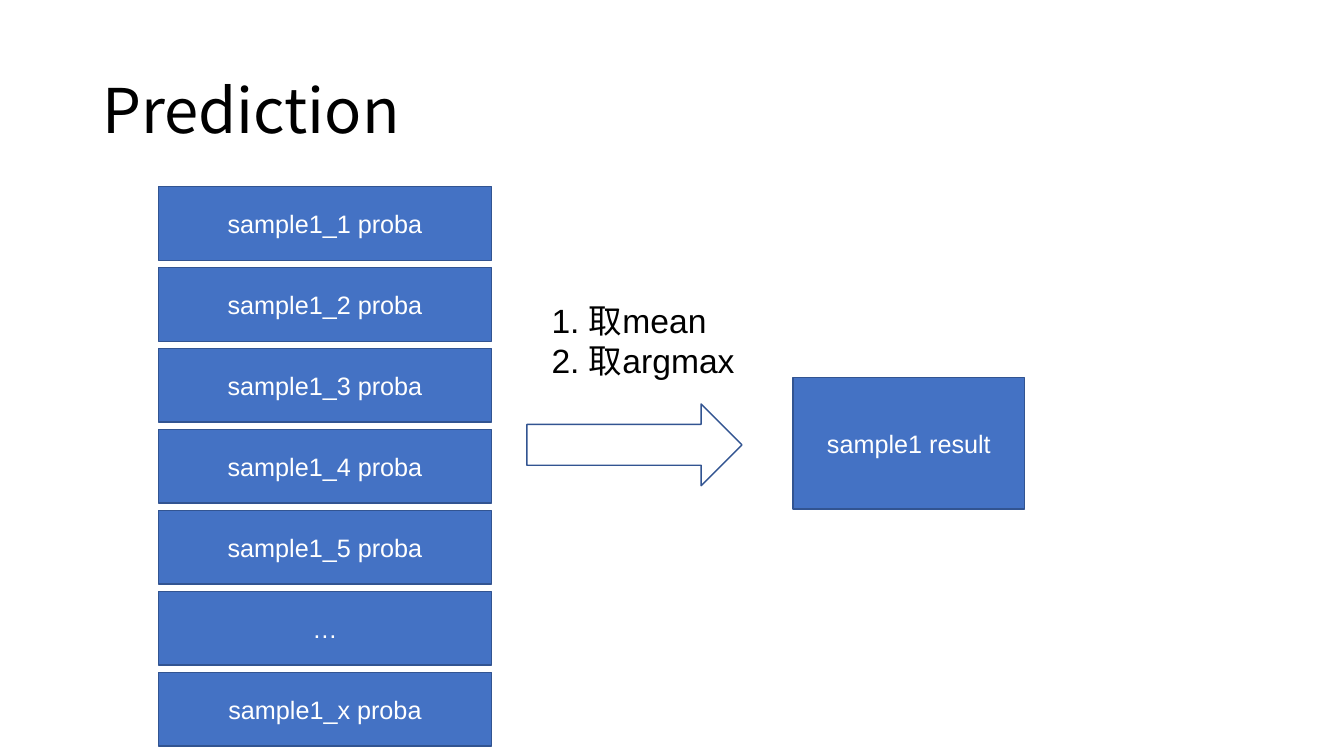
from dataclasses import dataclass

from lxml import etree
from pptx import Presentation
from pptx.dml.color import RGBColor
from pptx.enum.shapes import MSO_SHAPE
from pptx.enum.text import MSO_ANCHOR, PP_ALIGN
from pptx.oxml.ns import qn
from pptx.util import Cm, Pt

RECTANGLE = MSO_SHAPE.RECTANGLE
RIGHT_ARROW = MSO_SHAPE.RIGHT_ARROW
TOP = MSO_ANCHOR.TOP
MIDDLE = MSO_ANCHOR.MIDDLE
CENTER = PP_ALIGN.CENTER


@dataclass(frozen=True)
class Theme:
    blue: RGBColor = RGBColor(0x44, 0x72, 0xC4)
    outline: RGBColor = RGBColor(0x32, 0x54, 0x91)
    white: RGBColor = RGBColor(0xFF, 0xFF, 0xFF)
    black: RGBColor = RGBColor(0, 0, 0)
    latin_font: str = "Arial"
    asian_font: str = "Noto Sans CJK SC"
    title_size: int = 44
    step_size: int = 24
    label_size: int = 18


THEME = Theme()
SAMPLES = ["sample1_1 proba", "sample1_2 proba", "sample1_3 proba",
           "sample1_4 proba", "sample1_5 proba", "…", "sample1_x proba"]
STEPS = "1. 取mean\v2. 取argmax"


def write_text(box, text, size, color, font=THEME.latin_font, anchor=MIDDLE, wrap=True):
    box.text_frame.word_wrap = wrap
    box.text_frame.vertical_anchor = anchor
    para = box.text_frame.paragraphs[0]
    para.text = text
    para.font.size = Pt(size)
    para.font.color.rgb = color
    para.font.name = font
    properties = para._p.get_or_add_pPr().find(qn("a:defRPr"))
    etree.SubElement(properties, qn("a:ea"), typeface=THEME.asian_font)
    return para


def add_outlined_shape(page, kind, left, top, width, height, fill):
    shape = page.shapes.add_shape(kind, Cm(left), Cm(top), Cm(width), Cm(height))
    shape.shadow.inherit = False
    shape.fill.solid()
    shape.fill.fore_color.rgb = fill
    shape.line.color.rgb = THEME.outline
    shape.line.width = Pt(1)
    return shape


def add_labelled_box(page, label, left, top, width, height):
    box = add_outlined_shape(page, RECTANGLE, left, top, width, height, THEME.blue)
    para = write_text(box, label, THEME.label_size, THEME.white)
    para.alignment = CENTER


def add_title(page, title):
    box = page.shapes.add_textbox(Cm(2.33), Cm(1.01), Cm(29.21), Cm(3.68))
    para = write_text(box, title, THEME.title_size, THEME.black, font=THEME.asian_font)
    para.line_spacing = 0.9


def add_steps(page, steps, left, top, width, height):
    box = page.shapes.add_textbox(Cm(left), Cm(top), Cm(width), Cm(height))
    write_text(box, steps, THEME.step_size, THEME.black, anchor=TOP, wrap=False)


def add_sample_stack(page, samples, left, top, width, height, gap):
    for row, sample in enumerate(samples):
        add_labelled_box(page, sample, left, top + row * (height + gap), width, height)


def main():
    deck = Presentation()
    deck.slide_width, deck.slide_height = Cm(33.87), Cm(19.05)
    page = deck.slides.add_slide(deck.slide_layouts[6])

    add_title(page, "Prediction")
    add_sample_stack(page, SAMPLES, 3.99, 4.7, 8.4, 1.86, 0.18)
    add_outlined_shape(page, RIGHT_ARROW, 13.28, 10.18, 5.42, 2.06, THEME.white)
    add_steps(page, STEPS, 13.65, 7.43, 5.54, 2.56)
    add_labelled_box(page, "sample1 result", 19.99, 9.52, 5.83, 3.31)

    deck.save("out.pptx")


main()
